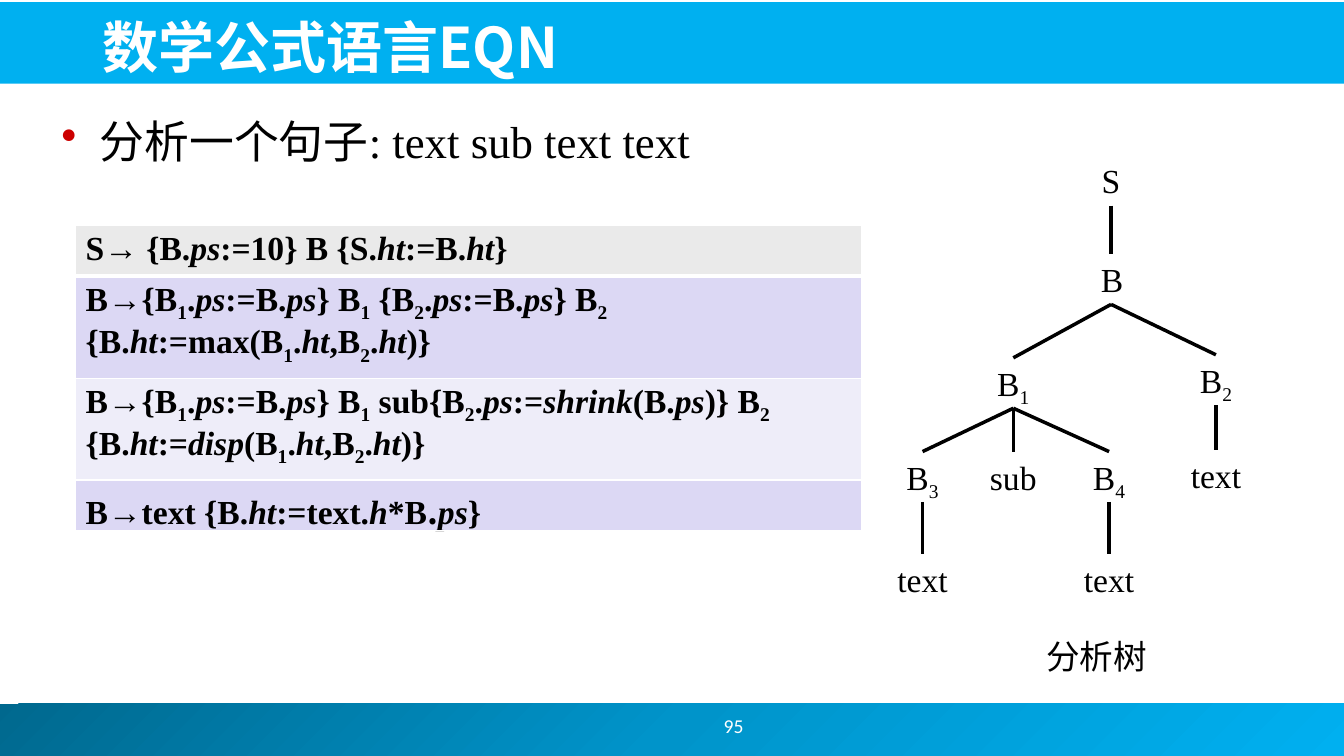
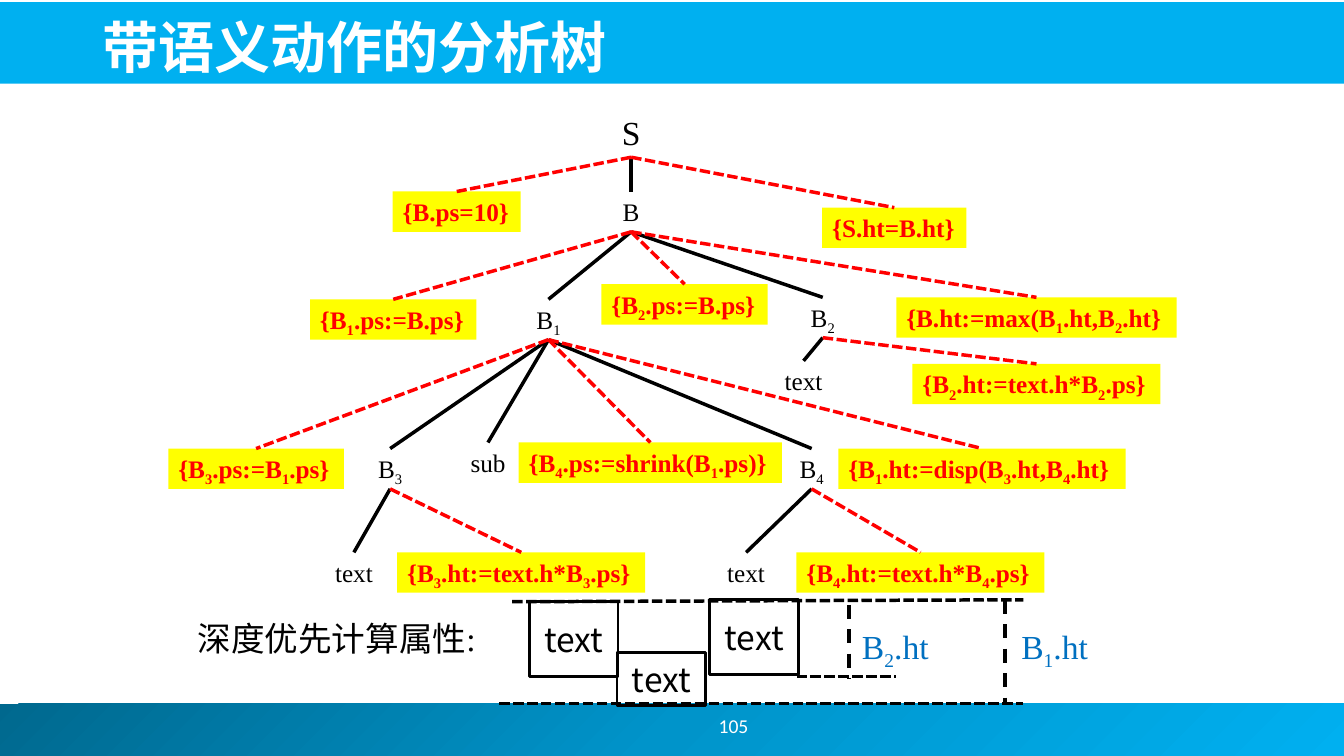
import copy

import pptx
import pptx.dml.color
import pptx.enum.dml
import pptx.enum.shapes
import pptx.enum.text
import pptx.oxml.ns
import pptx.util
from lxml import etree

Inches = pptx.util.Inches
Pt = pptx.util.Pt
RGBColor = pptx.dml.color.RGBColor
Align = pptx.enum.text.PP_ALIGN
Anchor = pptx.enum.text.MSO_ANCHOR
Dash = pptx.enum.dml.MSO_LINE
RECTANGLE = pptx.enum.shapes.MSO_SHAPE.RECTANGLE
STRAIGHT = pptx.enum.shapes.MSO_CONNECTOR.STRAIGHT
qn = pptx.oxml.ns.qn

WHITE = RGBColor(0xFF, 0xFF, 0xFF)
BLACK = RGBColor(0x00, 0x00, 0x00)
SKY = RGBColor(0x00, 0xB0, 0xF0)
FOOTER_STOPS = [RGBColor(0x00, 0x68, 0x8E), RGBColor(0x00, 0x94, 0xCA), SKY]
RED = RGBColor(0xFF, 0x00, 0x00)
YELLOW = RGBColor(0xFF, 0xFF, 0x00)
BLUE = RGBColor(0x00, 0x70, 0xC0)
BULLET_RED = RGBColor(0xCC, 0x00, 0x00)
GRAY = RGBColor(0xEA, 0xEA, 0xEA)
LILAC = RGBColor(0xDC, 0xD8, 0xF4)
PALE_LILAC = RGBColor(0xEE, 0xED, 0xF9)
SERIF = "Times New Roman"
SANS = "Noto Sans CJK JP"


def write(frame, markup, size, color=BLACK, bold=False, font=SERIF, align=Align.LEFT, wrap=False):
    """Fill a frame; ~x~ is italic and the character after _ is a subscript."""
    frame.word_wrap = wrap
    para = frame.paragraphs[0]
    para.alignment = align
    for position, part in enumerate(markup.split("~")):
        first, *others = part.split("_")
        pieces = [(first, False)]
        for other in others:
            pieces += [(other[0], True), (other[1:], False)]
        for text, lowered in pieces:
            if not text:
                continue
            span = para.add_run()
            span.text = text
            span.font.size = Pt(size)
            span.font.bold = bold
            span.font.italic = position % 2 == 1
            span.font.color.rgb = color
            span.font.name = font
            properties = span._r.get_or_add_rPr()
            etree.SubElement(properties, qn("a:ea"), typeface=SANS)
            if lowered:
                properties.set("baseline", "-25000")


def add_line(page, start, end, color=BLACK, dash=None):
    line = page.shapes.add_connector(STRAIGHT, *[Inches(value) for value in start + end])
    line.line.color.rgb = color
    line.line.width = Pt(2.5)
    if dash:
        line.line.dash_style = dash
    etree.SubElement(line.element.spPr, qn("a:effectLst"))
    return line


deck = pptx.Presentation()
deck.slide_width = Inches(13.33)
deck.slide_height = Inches(7.5)
layout = deck.slide_layouts[5]

# Titles and page numbers
pages = []
for title_text, number in [("数学公式语言EQN", "95"), ("带语义动作的分析树", "105")]:
    page = deck.slides.add_slide(layout)
    title = page.shapes.title
    title.left, title.top = Inches(0.92), Inches(0.05)
    title.width, title.height = Inches(11.97), Inches(0.79)
    title.text_frame.auto_size = pptx.enum.text.MSO_AUTO_SIZE.NONE
    title.text_frame.vertical_anchor = Anchor.BOTTOM
    write(title.text_frame, title_text, 40, WHITE, True, SANS, wrap=True)
    box = page.shapes.add_textbox(Inches(5.83), Inches(6.95), Inches(2.89), Inches(0.5))
    box.text_frame.vertical_anchor = Anchor.MIDDLE
    write(box.text_frame, number, 14, WHITE, font="Calibri", align=Align.CENTER)
    pages.append(page)
grammar_page, action_page = pages

# Bands, moved to the layout so that both slides share them
header = grammar_page.shapes.add_shape(RECTANGLE, Inches(-0.02), Inches(0.02), Inches(13.36), Inches(0.81))
header.fill.solid()
header.fill.fore_color.rgb = SKY
footer = grammar_page.shapes.add_shape(RECTANGLE, Inches(-0.05), Inches(6.98), Inches(13.39), Inches(0.52))
footer.fill.gradient()
footer.fill.gradient_angle = 315
stop_list = footer.element.find(".//" + qn("a:gsLst"))
stop_list.insert(1, copy.deepcopy(stop_list[0]))
for index, (stop, color) in enumerate(zip(footer.fill.gradient_stops, FOOTER_STOPS)):
    stop.color.rgb = color
    stop.position = index / 2
for band in (header, footer):
    band.line.fill.background()
    band.shadow.inherit = False
    layout.shapes.element.append(band.element)

# Slide 1: sentence and grammar table
box = grammar_page.shapes.add_textbox(Inches(0.51), Inches(1.08), Inches(9.33), Inches(0.75))
bullet = box.text_frame.paragraphs[0]._p.get_or_add_pPr()
bullet.set("marL", str(Inches(0.38)))
bullet.set("indent", str(Inches(-0.38)))
bullet_color = etree.SubElement(bullet, qn("a:buClr"))
etree.SubElement(bullet_color, qn("a:srgbClr"), val=str(BULLET_RED))
etree.SubElement(bullet, qn("a:buChar"), char="•")
write(box.text_frame, "分析一个句子: text sub text text", 32, wrap=True)

rules = [
    ("S→ {B.~ps~:=10} B {S.~ht~:=B.~ht~}", 0.5, GRAY),
    ("B→{B_1.~ps~:=B.~ps~} B_1 {B_2.~ps~:=B.~ps~} B_2 {B.~ht~:=max(B_1.~ht~,B_2.~ht~)}", 1, LILAC),
    ("B→{B_1.~ps~:=B.~ps~} B_1 sub{B_2.~ps~:=~shrink~(B.~ps~)} B_2 "
     "{B.~ht~:=~disp~(B_1.~ht~,B_2.~ht~)}", 1.01, PALE_LILAC),
    ("B→text {B.~ht~:=text.~h~*B~~.~ps~}", 0.5, LILAC),
]
table = grammar_page.shapes.add_table(len(rules), 1, Inches(0.75), Inches(2.24), Inches(7.8), Inches(3.01)).table
for index, (rule, height, color) in enumerate(rules):
    table.rows[index].height = Inches(height)
    cell = table.cell(index, 0)
    write(cell.text_frame, rule, 24, bold=True, wrap=True)
    for side, weight in (("a:lnT", 3 if index == 1 else 1), ("a:lnB", 3 if index == 0 else 1)):
        border = etree.SubElement(cell._tc.get_or_add_tcPr(), qn(side), w=str(Pt(weight)))
        border_fill = etree.SubElement(border, qn("a:solidFill"))
        etree.SubElement(border_fill, qn("a:srgbClr"), val=str(WHITE))
    cell.fill.solid()
    cell.fill.fore_color.rgb = color
for span in cell.text_frame.paragraphs[0].runs:
    if span.text == ".":
        span.font.name = SANS

box = grammar_page.shapes.add_textbox(Inches(10.27), Inches(6.26), Inches(1.21), Inches(0.51))
write(box.text_frame, "分析树", 24, font=SANS, align=Align.CENTER)

# Trees: name, parent, middle, top, width, text size, label
parse_tree = [
    ("S", None, 11.02, 1.54, 0.4, 24, "S"),
    ("B", "S", 11.02, 2.52, 0.4, 24, "B"),
    ("B1", "B", 10.05, 3.55, 0.54, 24, "B_1"),
    ("B2", "B", 12.06, 3.52, 0.54, 24, "B_2"),
    ("B3", "B1", 9.15, 4.48, 0.54, 24, "B_3"),
    ("sub", "B1", 10.05, 4.48, 0.67, 24, "sub"),
    ("B4", "B1", 11, 4.48, 0.54, 24, "B_4"),
    ("text2", "B2", 12.06, 4.46, 0.71, 24, "text"),
    ("text3", "B3", 9.15, 5.5, 0.71, 24, "text"),
    ("text4", "B4", 11, 5.5, 0.71, 24, "text"),
]
action_tree = [
    ("S", None, 6.26, 1.06, 0.4, 24, "S"),
    ("B", "S", 6.26, 1.9, 0.37, 18, "B"),
    ("B1", "B", 5.44, 2.97, 0.45, 18, "B_1"),
    ("B2", "B", 8.16, 2.95, 0.45, 18, "B_2"),
    ("B3", "B1", 3.87, 4.45, 0.45, 18, "B_3"),
    ("sub", "B1", 4.84, 4.39, 0.55, 18, "sub"),
    ("B4", "B1", 8.05, 4.45, 0.45, 18, "B_4"),
    ("text2", "B2", 7.97, 3.58, 0.58, 18, "text"),
    ("text3", "B3", 3.51, 5.48, 0.58, 18, "text"),
    ("text4", "B4", 7.4, 5.48, 0.58, 18, "text"),
    ("B.ps", "S", 4.53, 1.9, 1.27, 18, "{B.ps=10}"),
    ("S.ht", "S", 8.87, 2.06, 1.43, 18, "{S.ht=B.ht}"),
    ("B1.ps", "B", 3.9, 2.97, 1.65, 18, "{B_1.ps:=B.ps}"),
    ("B2.ps", "B", 6.79, 2.82, 1.65, 18, "{B_2.ps:=B.ps}"),
    ("B.ht", "B", 10.28, 2.95, 2.78, 18, "{B.ht:=max(B_1.ht,B_2.ht}"),
    ("B2.ht", "B2", 10.28, 3.61, 2.46, 18, "{B_2.ht:=text.h*B_2.ps}"),
    ("B3.ps", "B1", 2.54, 4.45, 1.74, 18, "{B_3.ps:=B_1.ps}"),
    ("B4.ps", "B1", 6.45, 4.39, 2.61, 18, "{B_4.ps:=shrink(B_1.ps)}"),
    ("B3.ht", "B3", 5.17, 5.48, 2.46, 18, "{B_3.ht:=text.h*B_3.ps}"),
    ("B4.ht", "B4", 9.13, 5.48, 2.46, 18, "{B_4.ht:=text.h*B_4.ps}"),
    ("B1.ht", "B1", 9.74, 4.45, 2.85, 18, "{B_1.ht:=disp(B_3.ht,B_4.ht}"),
]
for page, tree in ((grammar_page, parse_tree), (action_page, action_tree)):
    nodes = {}
    for name, parent, middle, top, width, size, label in tree:
        is_action = label.startswith("{")
        place = [Inches(value) for value in (middle - width / 2, top, width, 0.5 if size == 24 else 0.4)]
        if is_action:
            box = page.shapes.add_shape(RECTANGLE, *place)
            box.shadow.inherit = False
            box.fill.solid()
            box.fill.fore_color.rgb = YELLOW
            box.line.fill.background()
            box.text_frame.vertical_anchor = Anchor.TOP
            write(box.text_frame, label, size, RED, True)
        else:
            box = page.shapes.add_textbox(*place)
            write(box.text_frame, label, size, align=Align.CENTER)
        nodes[name] = box
        if parent:
            edge = add_line(page, (middle, top), (middle, top), RED if is_action else BLACK,
                            Dash.SQUARE_DOT if is_action else None)
            edge.begin_connect(nodes[parent], 2)
            edge.end_connect(box, 0)

# Slide 2: heights of the typeset boxes
box = action_page.shapes.add_textbox(Inches(1.86), Inches(6.08), Inches(3.09), Inches(0.5))
write(box.text_frame, "深度优先计算属性:", 24, wrap=True)
for left, top, height in [(5.25, 5.97, 0.74), (6.12, 6.47, 0.53), (7.04, 5.95, 0.74)]:
    box = action_page.shapes.add_shape(RECTANGLE, Inches(left), Inches(top), Inches(0.88), Inches(height))
    box.shadow.inherit = False
    box.fill.background()
    box.line.color.rgb = BLACK
    box.line.width = Pt(2)
    write(box.text_frame, "text", 24, font=SANS, align=Align.CENTER)
for start, end, dash in [
    ((4.95, 6.98), (10.15, 6.98), Dash.SQUARE_DOT),
    ((5.08, 5.97), (10.15, 5.95), Dash.SQUARE_DOT),
    ((7.9, 6.71), (8.89, 6.71), Dash.SQUARE_DOT),
    ((9.97, 5.95), (9.97, 6.99), Dash.DASH),
    ((8.42, 6), (8.42, 6.74), Dash.DASH),
]:
    add_line(action_page, start, end, dash=dash)
for left, label in [(10.02, "B_1.ht"), (8.44, "B_2.ht")]:
    box = action_page.shapes.add_textbox(Inches(left), Inches(6.16), Inches(0.88), Inches(0.5))
    write(box.text_frame, label, 24, BLUE, align=Align.CENTER)

deck.save("out.pptx")
